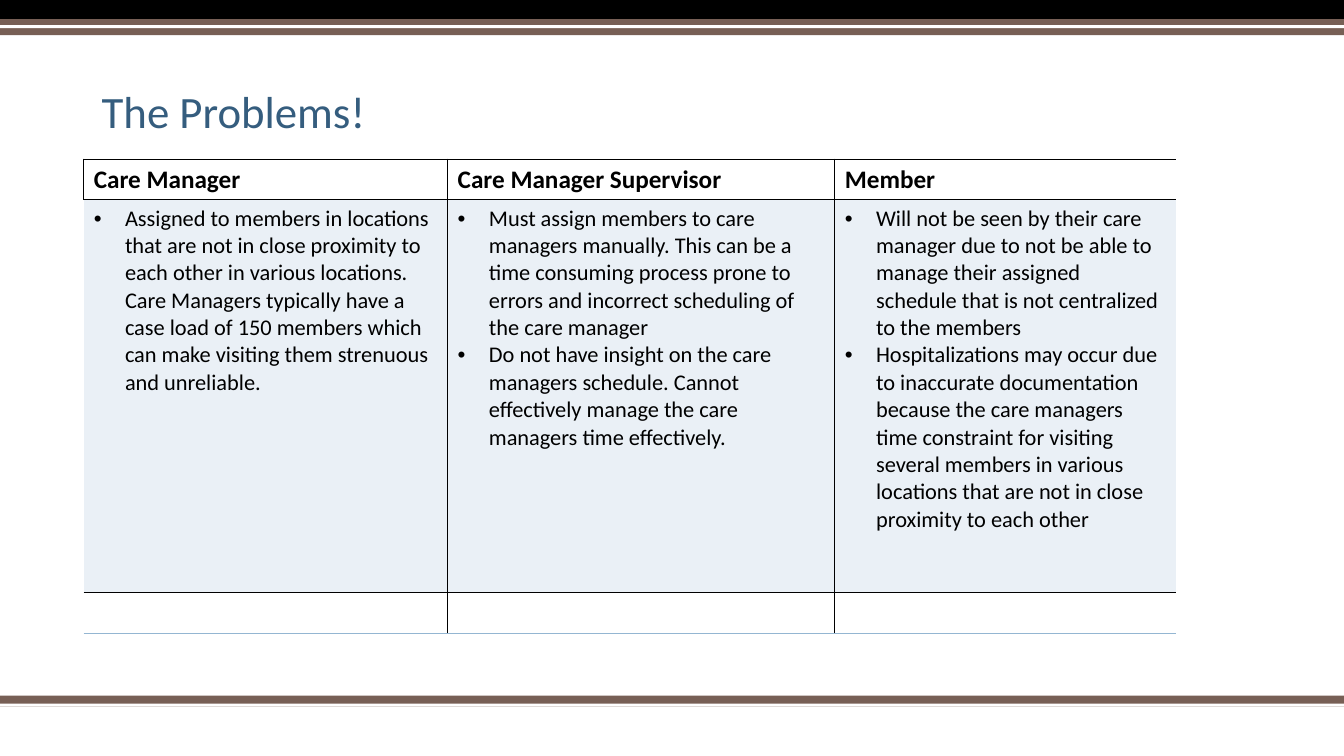
from lxml.etree import SubElement
from pptx import Presentation
from pptx.dml.color import RGBColor
from pptx.enum.shapes import MSO_SHAPE
from pptx.enum.text import MSO_ANCHOR
from pptx.oxml.ns import qn
from pptx.util import Inches, Pt

WIDTH, HEIGHT = 13.33, 7.5
BLACK, WHITE, BROWN = "000000", "FFFFFF", "775F55"
BLUE, PALE_BLUE, TITLE_BLUE = "94B6D2", "EAF0F6", "355D7E"

HEADERS = ["Care Manager", "Care Manager Supervisor", "Member"]
PROBLEMS = [
    ["Assigned to members in locations that are not in close proximity to each "
     "other in various locations. Care Managers typically have a case load of 150 "
     "members which can make visiting them strenuous and unreliable."],
    ["Must assign members to care managers manually. This can be a time consuming "
     "process prone to errors and incorrect scheduling of the care manager",
     "Do not have insight on the care managers schedule. Cannot effectively manage "
     "the care managers time effectively."],
    ["Will not be seen by their care manager due to not be able to manage their "
     "assigned schedule that is not centralized to the members",
     "Hospitalizations may occur due to inaccurate documentation because the care "
     "managers time constraint for visiting several members in various locations "
     "that are not in close proximity to each other"],
]
HEADER_FONT = {"name": "Calibri", "size": Pt(18), "bold": True}
BODY_FONT = {"name": "Calibri", "size": Pt(16), "bold": False}
TITLE_FONT = {"name": "Calibri", "size": Pt(32), "bold": False}


def rgb(value):
    return RGBColor.from_string(value)


def style(font, formats, color=BLACK):
    for name, value in formats.items():
        setattr(font, name, value)
    font.color.rgb = rgb(color)


def add_bands(s, top, bands):
    """Full-width bands, each given as offset from top, height and colour."""
    for offset, height, color in bands:
        sp = s.shapes.add_shape(MSO_SHAPE.RECTANGLE, 0, Inches(top + offset),
                                Inches(WIDTH), Inches(height))
        sp.shadow.inherit = False
        sp.fill.solid()
        sp.fill.fore_color.rgb = rgb(color)
        sp.line.fill.background()


def add_title(s, left, top, width, height, text):
    sp = s.shapes.add_textbox(*map(Inches, (left, top, width, height)))
    tf = sp.text_frame
    tf.word_wrap = True
    tf.vertical_anchor = MSO_ANCHOR.BOTTOM
    p = tf.paragraphs[0]
    p.line_spacing = 0.9
    r = p.add_run()
    r.text = text
    style(r.font, TITLE_FONT, TITLE_BLUE)


def set_borders(cell, edges):
    """Draw the edges that have a colour and clear the others."""
    tcPr = cell._tc.get_or_add_tcPr()
    for side in "LRTB":
        ln = SubElement(tcPr, qn(f"a:ln{side}"), w=str(Pt(1)))
        if edges.get(side):
            fill = SubElement(ln, qn("a:solidFill"))
            SubElement(fill, qn("a:srgbClr"), val=edges[side])
        else:
            SubElement(ln, qn("a:noFill"))


def add_bullet(p, indent):
    pPr = p._p.get_or_add_pPr()
    pPr.set("marL", str(Inches(indent)))
    pPr.set("indent", str(-Inches(indent)))
    SubElement(pPr, qn("a:buFont"), typeface="Arial")
    SubElement(pPr, qn("a:buChar"), char="•")


def fill_cell(cell, lines, formats, bulleted):
    tf = cell.text_frame
    for i, line in enumerate(lines):
        p = tf.add_paragraph() if i else tf.paragraphs[0]
        if bulleted:
            add_bullet(p, 0.31)
        r = p.add_run()
        r.text = line
        style(r.font, formats)


def add_problem_table(s, left, top, col_widths, row_heights):
    n_rows, n_cols = len(row_heights), len(col_widths)
    box = (left, top, sum(col_widths), sum(row_heights))
    table = s.shapes.add_table(n_rows, n_cols, *map(Inches, box)).table
    table.first_row = table.horz_banding = False
    for col, width in zip(table.columns, col_widths):
        col.width = Inches(width)
    for row, height in zip(table.rows, row_heights):
        row.height = Inches(height)

    contents = [[[header] for header in HEADERS], PROBLEMS, [[]] * n_cols]
    for i, row in enumerate(contents):
        for j, lines in enumerate(row):
            cell = table.cell(i, j)
            # Outer sides stay open, except left of the header
            set_borders(cell, {
                "L": BLACK if j > 0 or i == 0 else None,
                "R": BLACK if j < n_cols - 1 else None,
                "T": BLACK,
                "B": BLACK if i < n_rows - 1 else BLUE,
            })
            if i == 1:
                cell.fill.solid()
                cell.fill.fore_color.rgb = rgb(PALE_BLUE)
            else:
                cell.fill.background()
            fill_cell(cell, lines, BODY_FONT if i else HEADER_FONT, i == 1)


prs = Presentation()
prs.slide_width, prs.slide_height = Inches(WIDTH), Inches(HEIGHT)
s = prs.slides.add_slide(prs.slide_layouts[6])

# Footer and header bands
add_bands(s, 6.9, [(0, 0.11, BROWN), (0.08, 0.03, WHITE)])
add_bands(s, 0, [(0, 0.19, BLACK), (0.19, 0.16, BROWN), (0.25, 0.03, WHITE)])

# Title and table
add_title(s, 0.91, 0.67, 10.75, 0.75, "The Problems!")
add_problem_table(s, 0.83, 1.58, [3.61, 3.84, 3.38], [0.4, 3.9, 0.4])

prs.save("out.pptx")
